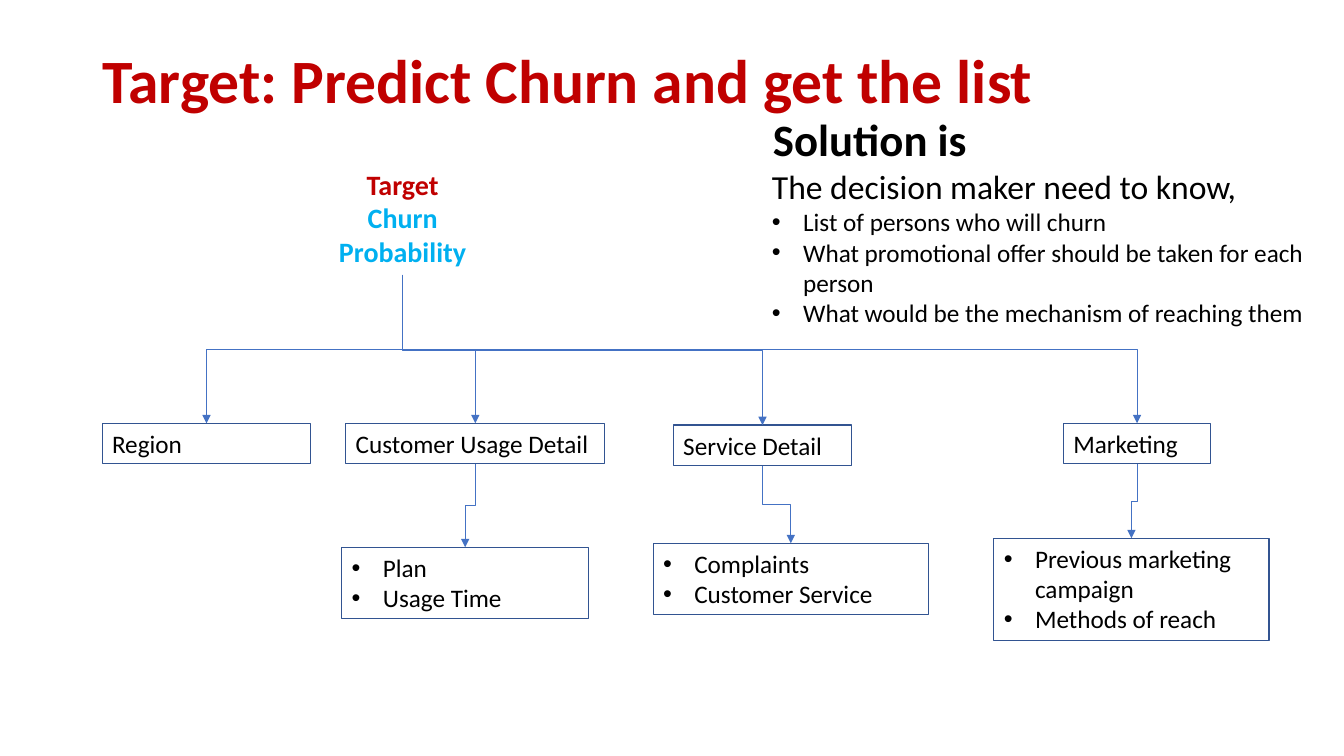
from dataclasses import dataclass

from lxml.etree import SubElement
from pptx import Presentation
from pptx.dml.color import RGBColor
from pptx.enum.shapes import MSO_CONNECTOR as Link, MSO_SHAPE as Form
from pptx.enum.text import MSO_ANCHOR as Anchor, MSO_AUTO_SIZE as Auto, PP_ALIGN as Align
from pptx.oxml.ns import qn
from pptx.util import Inches, Pt

WIDE, HIGH = Inches(13.333), Inches(7.5)
COLS, ROWS = 40, 22.5


@dataclass(frozen=True)
class Theme:
    font: str = "Calibri"
    red: str = "C00000"
    sky: str = "00B0F0"
    ink: str = "000000"
    edge: str = "325491"
    wire: str = "4472C4"
    title: int = 44
    head: int = 32
    lead: int = 24
    goal: int = 20
    body: int = 18
    frame: float = 0.75
    thin: float = 0.5


@dataclass(frozen=True)
class Area:
    col: float
    row: float
    cols: float
    rows: float

    def place(self) -> tuple[int, int, int, int]:
        wide, high = WIDE / COLS, HIGH / ROWS
        return (round(self.col * wide), round(self.row * high),
                round(self.cols * wide), round(self.rows * high))


@dataclass(frozen=True)
class Branch:
    name: str
    area: Area
    items: tuple[str, ...] = ()
    leaf: Area | None = None


LOOK = Theme()
BRANCHES = (
    Branch("Region", Area(3.04, 12.6, 6.21, 1.21)),
    Branch("Customer Usage Detail", Area(10.29, 12.6, 7.71, 1.21),
           ("Plan", "Usage Time"), Area(10.17, 16.29, 7.35, 2.12)),
    Branch("Service Detail", Area(20.04, 12.65, 5.31, 1.21),
           ("Complaints", "Customer Service"), Area(19.44, 16.17, 8.19, 2.12)),
    Branch("Marketing", Area(31.65, 12.6, 4.38, 1.21),
           ("Previous marketing campaign", "Methods of reach"), Area(29.58, 16.02, 8.19, 3.03)),
)
NEEDS = (
    "List of persons who will churn",
    "What promotional offer should be taken for each person",
    "What would be the mechanism of reaching them",
)

deck = Presentation()
deck.slide_width, deck.slide_height = WIDE, HIGH
slide = deck.slides.add_slide(deck.slide_layouts[6])


def write(shape, text: str, *, size: int = LOOK.body, color: str = LOOK.ink,
          bold: bool = False, bullet: bool = False, align=Align.LEFT, space: float = 1.0) -> None:
    frame = shape.text_frame
    para = frame.paragraphs[0]
    if para.runs:
        para = frame.add_paragraph()
    para.alignment, para.line_spacing = align, space
    if bullet:
        props = para._p.get_or_add_pPr()
        props.set("marL", str(Inches(0.31)))
        props.set("indent", str(-Inches(0.31)))
        SubElement(props, qn("a:buFont"), typeface="Arial")
        SubElement(props, qn("a:buChar"), char="•")
    run = para.add_run()
    run.text = text
    font = run.font
    font.name, font.size, font.bold = LOOK.font, Pt(size), bold
    font.color.rgb = RGBColor.from_string(color)


def block(area: Area, framed: bool = False, anchor=Anchor.TOP):
    if framed:
        shape = slide.shapes.add_shape(Form.RECTANGLE, *area.place())
        shape.shadow.inherit = False
        shape.fill.background()
        shape.line.color.rgb = RGBColor.from_string(LOOK.edge)
        shape.line.width = Pt(LOOK.frame)
    else:
        shape = slide.shapes.add_textbox(*area.place())
    frame = shape.text_frame
    frame.word_wrap, frame.vertical_anchor = True, anchor
    frame.auto_size = Auto.NONE if anchor == Anchor.MIDDLE else Auto.SHAPE_TO_FIT_TEXT
    return shape


def join(start, end) -> None:
    left, top = start.left + start.width // 2, start.top + start.height
    right, base = end.left + end.width // 2, end.top
    wire = slide.shapes.add_connector(Link.ELBOW, left, top, right, base)
    wire.begin_connect(start, 2)
    wire.end_connect(end, 0)
    drop, shift = base - top, abs(right - left)
    wire.left, wire.top = (left + right - drop) // 2, (top + base - shift) // 2
    wire.width, wire.height = drop, shift
    props = wire.element.spPr
    turn = props.find(qn("a:xfrm"))
    ahead = right > left
    turn.set("rot", str((270 if ahead else 90) * 60000))
    turn.set("flipH", str(int(ahead)))
    wire.line.color.rgb = RGBColor.from_string(LOOK.wire)
    wire.line.width = Pt(LOOK.thin)
    SubElement(props.find(qn("a:ln")), qn("a:tailEnd"), type="triangle")
    SubElement(props, qn("a:effectLst"))


title = block(Area(2.76, 1.2, 34.5, 2.55), anchor=Anchor.MIDDLE)
write(title, "Target: Predict Churn and get the list",
      size=LOOK.title, color=LOOK.red, bold=True, space=0.9)

head = block(Area(22.71, 3.18, 9.24, 1.92))
write(head, "Solution is", size=LOOK.head, bold=True)

body = block(Area(22.68, 4.8, 16.77, 5.16))
write(body, "The decision maker need to know,", size=LOOK.lead)
for need in NEEDS:
    write(body, need, bullet=True)

goal = block(Area(9.39, 4.83, 5.19, 3.35))
for text, color in (("Target", LOOK.red), ("Churn Probability", LOOK.sky)):
    write(goal, text, size=LOOK.goal, color=color, bold=True, align=Align.CENTER)

for branch in BRANCHES:
    node = block(branch.area, framed=True)
    write(node, branch.name)
    join(goal, node)
    if branch.leaf:
        leaf = block(branch.leaf, framed=True)
        for item in branch.items:
            write(leaf, item, bullet=True)
        join(node, leaf)

deck.save("out.pptx")
